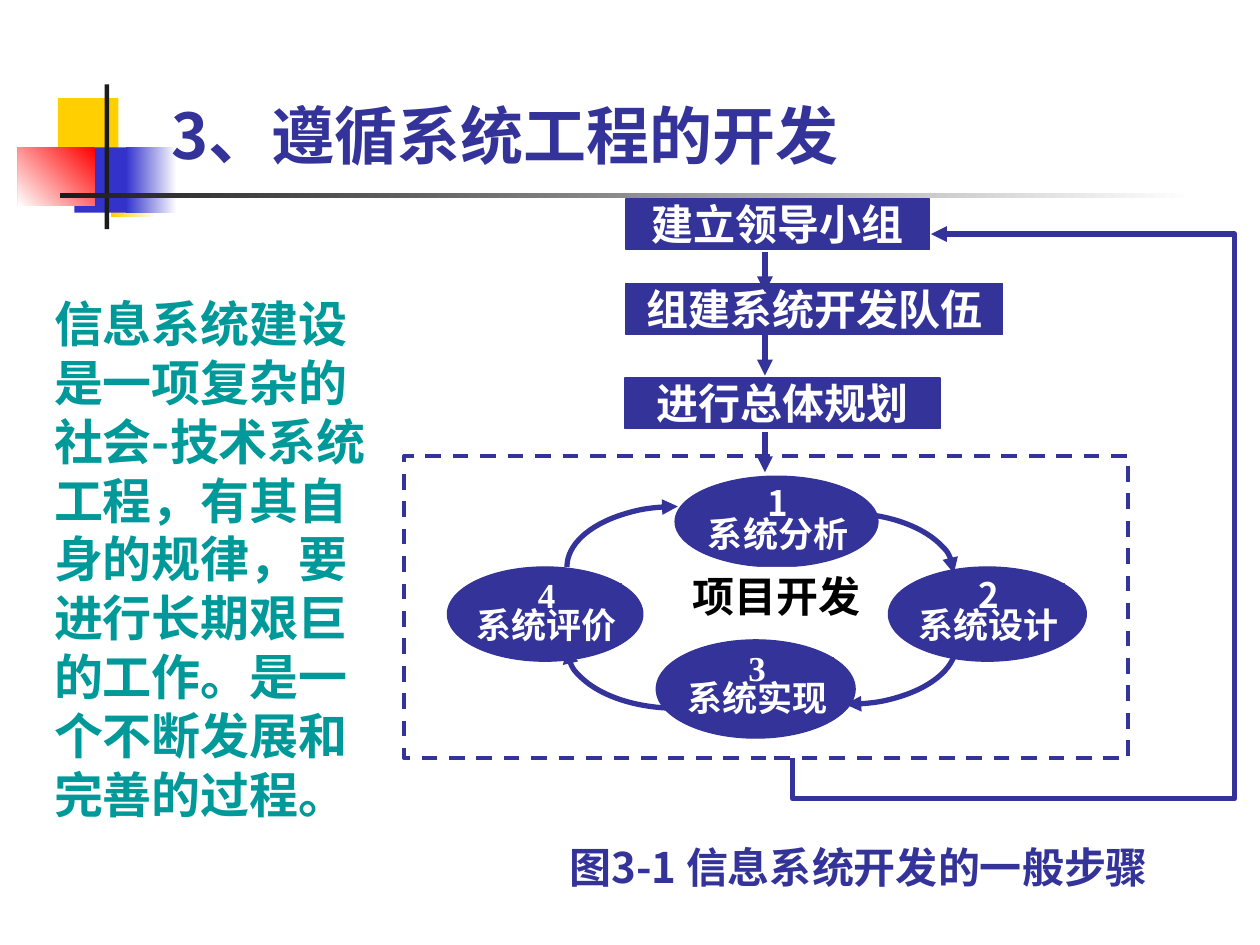
from lxml import etree
from pptx import Presentation
from pptx.dml.color import RGBColor
from pptx.enum.dml import MSO_LINE
from pptx.enum.shapes import MSO_CONNECTOR, MSO_SHAPE
from pptx.enum.text import MSO_ANCHOR, PP_ALIGN
from pptx.oxml.ns import qn
from pptx.util import Cm, Pt

RECTANGLE, OVAL, ARC = MSO_SHAPE.RECTANGLE, MSO_SHAPE.OVAL, MSO_SHAPE.ARC
STRAIGHT, DASH = MSO_CONNECTOR.STRAIGHT, MSO_LINE.DASH
LEFT, CENTER = PP_ALIGN.LEFT, PP_ALIGN.CENTER
TOP, BOTTOM = MSO_ANCHOR.TOP, MSO_ANCHOR.BOTTOM

SANS, SERIF = "Noto Sans CJK SC", "Times New Roman"
COLORS = {
    "white": "FFFFFF", "black": "000000", "ink": "1C1C1C", "navy": "333399",
    "blue": "3333CC", "yellow": "FFCF01", "red": "FF0000", "teal": "009999",
}

# Master ornament: left, top, width, height, colours, gradient angle
ORNAMENT = [
    (1.17, 1.98, 1.22, 1.32, ["yellow"], 0),
    (2.24, 3.05, 0.91, 1.32, ["white", "yellow"], 180),
    (1.5, 2.97, 1.17, 1.32, ["blue"], 0),
    (2.54, 2.97, 1.02, 1.32, ["white", "blue"], 180),
    (0.36, 2.97, 1.55, 1.17, ["red", "white"], 225),
    (2.11, 1.7, 0.09, 2.92, ["ink"], 0),
    (1.22, 3.89, 22.86, 0.1, ["white", "ink"], 180),
]
STEPS = [
    ("建立领导小组", 12.62, 4.01, 6.12),
    ("组建系统开发队伍", 12.62, 5.72, 7.59),
    ("进行总体规划", 12.6, 7.62, 6.35),
]
# Cycle stages: number, name, number font, left, top, width, height
STAGES = [
    ("1", "系统分析", SANS, 13.61, 9.6, 4.09, 1.83),
    ("4", "系统评价", SERIF, 9.02, 11.43, 3.94, 1.9),
    ("2", "系统设计", SANS, 17.91, 11.43, 3.99, 1.9),
    ("3", "系统实现", SERIF, 13.23, 12.9, 4.01, 1.98),
]
# Clockwise quarter arcs: left, top, start angle
ARCS = [(14.76, 10.34, 270), (14.81, 11.76, 0), (11.43, 10.21, 180), (11.43, 11.84, 90)]
FEEDBACK = [(15.98, 15.29), (15.98, 16.1), (24.89, 16.1), (24.89, 4.72), (18.77, 4.72)]
BODY = ("信息系统建设是一项复杂的社会-技术系统工程，有其自身的规律，"
        "要进行长期艰巨的工作。是一个不断发展和完善的过程。")


def rgb(name):
    return RGBColor.from_string(COLORS[name])


def style_line(line, color="navy", width=3, arrow=False):
    line.color.rgb = rgb(color)
    line.width = Pt(width)
    if arrow:
        properties = line._get_or_add_ln()
        etree.SubElement(properties, qn("a:tailEnd"), type="triangle")


def add_box(slide, left, top, width, height, kind=RECTANGLE, fill=None, line_width=0):
    shape = slide.shapes.add_shape(kind, Cm(left), Cm(top), Cm(width), Cm(height))
    shape.shadow.inherit = False
    if fill:
        shape.fill.solid()
        shape.fill.fore_color.rgb = rgb(fill)
    else:
        shape.fill.background()
    if line_width:
        style_line(shape.line, width=line_width)
    else:
        shape.line.fill.background()
    return shape


def set_text(shape, *lines, size=24, color="white", font=SANS, align=CENTER,
             anchor=TOP, spacing=None, inset=(0, 0)):
    frame = shape.text_frame
    frame.word_wrap = True
    frame.vertical_anchor = anchor
    frame.margin_left = frame.margin_right = Cm(inset[0])
    frame.margin_top = frame.margin_bottom = Cm(inset[1])
    for index, line in enumerate(lines):
        paragraph = frame.add_paragraph() if index else frame.paragraphs[0]
        paragraph.alignment = align
        if spacing:
            paragraph.line_spacing = spacing
        run = paragraph.add_run()
        run.text = line
        run.font.size = Pt(size)
        run.font.bold = True
        run.font.name = font
        run.font.color.rgb = rgb(color)
        east_asian = etree.Element(qn("a:ea"), typeface=SANS)
        run.font._element.find(qn("a:latin")).addnext(east_asian)


def add_ornament(slide):
    for left, top, width, height, colors, angle in ORNAMENT:
        shape = add_box(slide, left, top, width, height, fill=colors[0])
        if len(colors) > 1:
            shape.fill.gradient()
            shape.fill.gradient_angle = angle
            for stop, color in zip(shape.fill.gradient_stops, colors):
                stop.color.rgb = rgb(color)


def add_stage(slide, number, name, font, left, top, width, height):
    add_box(slide, left, top, width, height, OVAL, "navy", 0.75)
    label = add_box(slide, left + 0.125 * width, top + 0.18 * height,
                    0.765 * width, 0.62 * height, fill="navy", line_width=0.75)
    set_text(label, number, name, size=20, font=font, spacing=0.72)


def add_down_arrow(slide, top, x=15.42, length=0.81):
    connector = slide.shapes.add_connector(
        STRAIGHT, Cm(x), Cm(top), Cm(x), Cm(top + length))
    etree.SubElement(connector._element.spPr, qn("a:effectLst"))
    style_line(connector.line, arrow=True)


def add_arc(slide, left, top, start):
    arc = add_box(slide, left, top, 4.47, 2.44, ARC)
    # Angles are stored in 60000ths of a degree, adjustments in 100000ths
    arc.adjustments[0] = start * 0.6
    arc.adjustments[1] = (start + 90) % 360 * 0.6
    style_line(arc.line, arrow=True)


def add_path(slide, points):
    corners = [(Cm(x), Cm(y)) for x, y in points]
    builder = slide.shapes.build_freeform(*corners[0])
    builder.add_line_segments(corners[1:], close=False)
    path = builder.convert_to_shape()
    path.shadow.inherit = False
    path.fill.background()
    style_line(path.line, arrow=True)


def main():
    presentation = Presentation()
    presentation.slide_width, presentation.slide_height = Cm(25.4), Cm(19.05)
    slide = presentation.slides.add_slide(presentation.slide_layouts[6])

    # Ornament and title
    add_ornament(slide)
    title = slide.shapes.add_textbox(Cm(3.2), Cm(0.43), Cm(21.64), Cm(3.18))
    set_text(title, "3、遵循系统工程的开发", size=36, color="navy", align=LEFT,
             anchor=BOTTOM, inset=(0.25, 0.13))

    # Project frame and preparation steps
    frame = add_box(slide, 8.15, 9.19, 14.6, 6.1, fill="white", line_width=2.25)
    frame.line.dash_style = DASH
    for text, left, top, width in STEPS:
        step = add_box(slide, left, top, width, 1.02, fill="navy", line_width=0.75)
        set_text(step, text, font=SERIF)

    # Development cycle
    for stage in STAGES:
        add_stage(slide, *stage)
    center = add_box(slide, 13.67, 11.43, 3.96, 1.27, fill="white")
    set_text(center, "项目开发", color="black", font=SERIF, spacing=0.96,
             inset=(0.25, 0.13))
    for arc in ARCS:
        add_arc(slide, *arc)

    # Arrows between the steps and feedback path
    for top in (5.08, 6.76, 8.71):
        add_down_arrow(slide, top)
    add_path(slide, FEEDBACK)

    # Caption and explanation
    caption = add_box(slide, 10.72, 16.97, 13.18, 1.02, fill="white")
    set_text(caption, "图3-1 信息系统开发的一般步骤", color="navy")
    body = add_box(slide, 1.09, 5.92, 6.81, 10.67, fill="white")
    set_text(body, BODY, size=28, color="teal", align=LEFT)

    presentation.save("out.pptx")


if __name__ == "__main__":
    main()
